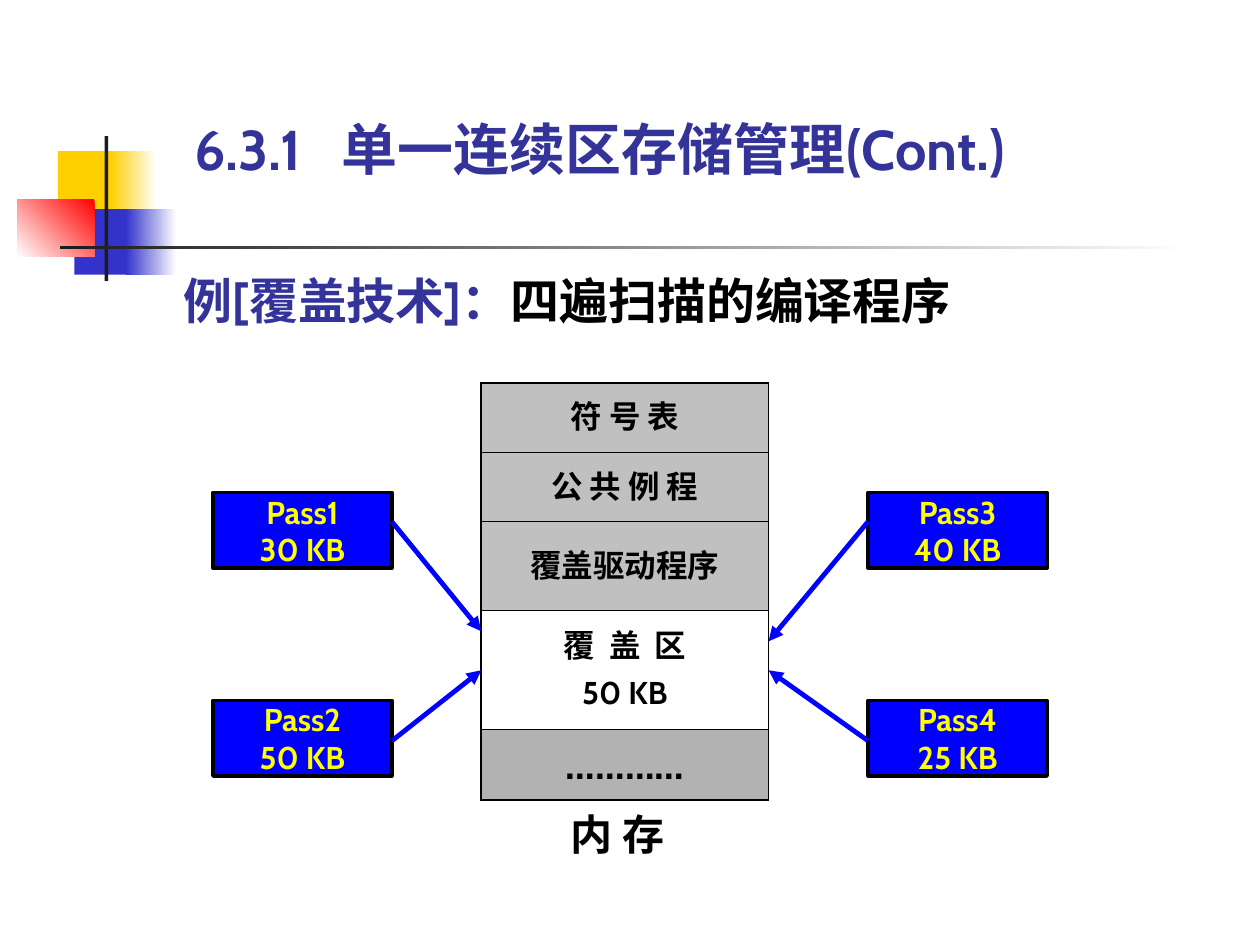
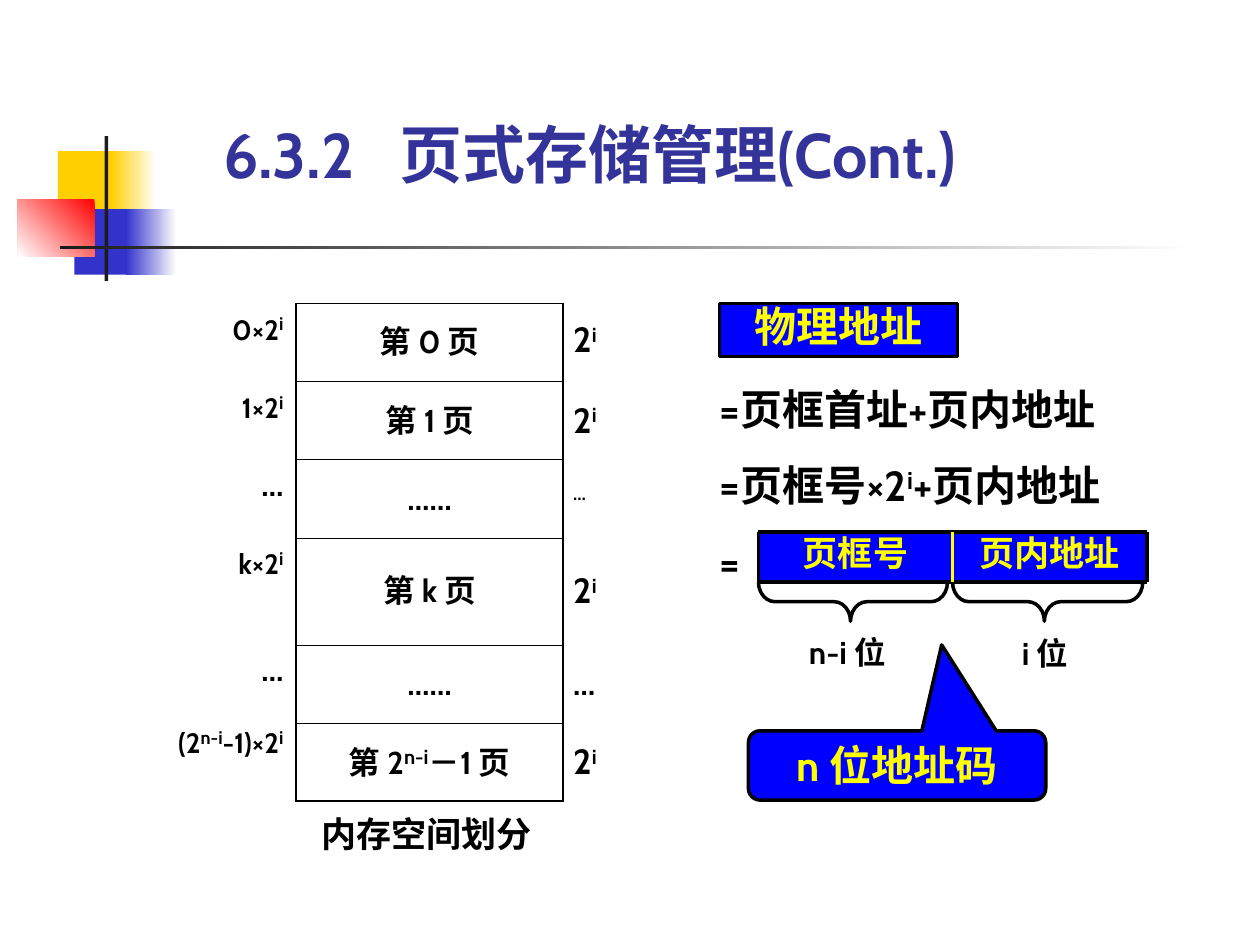
from lxml import etree
from pptx import Presentation, util as u
from pptx.dml.color import RGBColor
from pptx.enum import shapes as shape_enum, text as text_enum
from pptx.oxml import ns

FONT = "Cabin"
WHITE, BLACK, INK = "FFFFFF", "000000", "1C1C1C"
BLUE, YELLOW, NAVY = "0000FF", "FFFF00", "333399"
GRAY, DARK_GRAY = "C0C0C0", "B2B2B2"
THICK, THIN = 1.08, 0.45
LEFT, CENTER, RIGHT = (text_enum.PP_ALIGN.LEFT, text_enum.PP_ALIGN.CENTER,
                       text_enum.PP_ALIGN.RIGHT)
TOP, MIDDLE, BOTTOM = (text_enum.MSO_ANCHOR.TOP, text_enum.MSO_ANCHOR.MIDDLE,
                       text_enum.MSO_ANCHOR.BOTTOM)
KIND = shape_enum.MSO_SHAPE

# Left, top, width, height, then one colour or (from, to, angle)
DECORATION = [
    (0.46, 1.2, 0.48, 0.52, "FFCF01"),
    (0.88, 1.2, 0.36, 0.52, (WHITE, "FFCF01", 180)),
    (0.59, 1.66, 0.46, 0.52, "3333CC"),
    (1, 1.66, 0.4, 0.52, (WHITE, "3333CC", 180)),
    (0.14, 1.58, 0.61, 0.46, ("FF0000", WHITE, 225)),
    (0.83, 1.08, 0.03, 1.15, INK),
    (0.48, 1.95, 9, 0.03, (WHITE, INK, 180)),
]

# Slide 1: row height, lines, fill, font size, letter spacing
MEMORY_ROWS = [
    (0.55, ["符 号 表"], GRAY, 18, 0),
    (0.55, ["公 共 例 程"], GRAY, 18, 0),
    (0.7, ["覆盖驱动程序"], GRAY, 18, 0),
    (0.95, ["覆 盖 区", "50 KB"], None, 18, 2),
    (0.56, ["…………"], DARK_GRAY, 24, 0),
]
MEMORY_LEFT, MEMORY_TOP, MEMORY_WIDTH = 3.82, 3.04, 2.28
# Name, size, side, row, arrow start and end heights
PASSES = [
    ("Pass1", "30 KB", 0, 0, 4.14, 5.01),
    ("Pass2", "50 KB", 0, 1, 5.88, 5.32),
    ("Pass4", "25 KB", 1, 1, 5.88, 5.32),
    ("Pass3", "40 KB", 1, 0, 4.14, 5.09),
]
PASS_LEFTS, PASS_TOPS, PASS_SIZE = (1.69, 6.89), (3.91, 5.56), (1.42, 0.6)

# Slide 2: row height, first address, page, page size; ^ encloses a superscript
PAGE_ROWS = [
    (0.62, "0×2^i^", "第 0 页", "2^i^"),
    (0.62, "1×2^i^", "第 1 页", "2^i^"),
    (0.62, "…", "……", "^…^"),
    (0.85, "k×2^i^", "第 k 页", "2^i^"),
    (0.62, "…", "……", "…"),
    (0.62, "(2^n-i^-1)×2^i^", "第 2^n-i^－1 页", "2^i^"),
]
PAGE_COLUMNS = (1.52, 2.12, 0.49)
EQUATIONS = ["=页框首址+页内地址", "=页框号×2^i^+页内地址", "="]
# Name, left edge, right edge, bit count, bit label box, brace width and point
FIELDS = [
    ("页框号", 6.02, 7.56, "n-i 位", (6.42, 5.08, 0.79, 0.24), 1.5, 0.487),
    ("页内地址", 7.56, 9.1, "i 位", (8.11, 5.09, 0.47, 0.24), 1.51, 0.483),
]
FIELD_TOP, FIELD_BOTTOM, BRACE_DEPTH = 4.22, 4.62, 0.31


def rgb(color):
    return RGBColor.from_string(color)


def inches(*values):
    return [u.Inches(value) for value in values]


def set_all(target, values):
    for name, value in values.items():
        setattr(target, name, value)


def add_run(paragraph, words, size, color, raised=False, spacing=0):
    run = paragraph.add_run()
    run.text = words
    set_all(run.font, {"size": u.Pt(size), "bold": True, "name": FONT})
    run.font.color.rgb = rgb(color)
    properties = run.font._element
    etree.SubElement(properties, ns.qn("a:ea"), typeface=FONT)
    if raised:
        properties.set("baseline", "30000")
    if spacing:
        properties.set("spc", str(spacing * 100))


def write(frame, lines, size, color=BLACK, align=LEFT, anchor=TOP, margins=(0, 0, 0, 0),
          leading=None, gap=0, raised_size=None, spacing=0, tab=None):
    """Fill a frame or cell; a line is a marked string or a list of (words, color)."""
    names = ("margin_left", "margin_top", "margin_right", "margin_bottom")
    set_all(frame, dict(zip(names, inches(*margins))))
    set_all(frame, {"vertical_anchor": anchor, "word_wrap": True})
    text_frame = getattr(frame, "text_frame", frame)
    for index, line in enumerate(lines):
        paragraph = text_frame.add_paragraph() if index else text_frame.paragraphs[0]
        set_all(paragraph, {"alignment": align, "line_spacing": leading})
        if index and gap:
            paragraph.space_before = u.Pt(gap)
        if tab:
            stops = etree.SubElement(paragraph._p.get_or_add_pPr(), ns.qn("a:tabLst"))
            etree.SubElement(stops, ns.qn("a:tab"), pos=str(u.Inches(tab)), algn="l")
        for words, run_color in [(line, color)] if isinstance(line, str) else line:
            for part, piece in enumerate(words.split("^")):
                raised = part % 2 == 1
                if piece:
                    add_run(paragraph, piece, raised_size if raised and raised_size else size,
                            run_color, raised, 0 if index else spacing)


def add_text(slide, box, lines, size, **options):
    frame = slide.shapes.add_textbox(*inches(*box)).text_frame
    write(frame, lines, size, **options)
    frame.auto_size = text_enum.MSO_AUTO_SIZE.SHAPE_TO_FIT_TEXT


def add_shape(slide, box, fill=None, line=None, kind=KIND.RECTANGLE):
    shape = slide.shapes.add_shape(kind, *inches(*box))
    shape.shadow.inherit = False
    if fill is None:
        shape.fill.background()
    elif isinstance(fill, str):
        shape.fill.solid()
        shape.fill.fore_color.rgb = rgb(fill)
    else:
        *colors, angle = fill
        shape.fill.gradient()
        shape.fill.gradient_angle = angle
        for stop, color in zip(shape.fill.gradient_stops, colors):
            stop.color.rgb = rgb(color)
    if line:
        shape.line.color.rgb = rgb(line)
        shape.line.width = u.Pt(2)
    else:
        shape.line.fill.background()
    return shape


def add_label(slide, box, lines, size, line=BLACK, kind=KIND.RECTANGLE, grow=True, **options):
    """Blue shape with centred yellow text."""
    shape = add_shape(slide, box, BLUE, line, kind)
    write(shape.text_frame, lines, size, color=YELLOW, align=CENTER, **options)
    if grow:
        shape.text_frame.auto_size = text_enum.MSO_AUTO_SIZE.SHAPE_TO_FIT_TEXT
    return shape


def add_line(slide, start, end, color, width, arrow=False):
    line = slide.shapes.add_connector(shape_enum.MSO_CONNECTOR.STRAIGHT,
                                      *inches(*start, *end))
    line.line.color.rgb = rgb(color)
    line.line.width = u.Pt(width)
    if arrow:
        etree.SubElement(line.line._get_or_add_ln(), ns.qn("a:tailEnd"), type="triangle")
    etree.SubElement(line._element.spPr, ns.qn("a:effectLst"))


def finish_cell(cell, borders, fill=None):
    """Set left, right, top and bottom border widths (0 for none), then the fill."""
    properties = cell._tc.get_or_add_tcPr()
    for side, width in zip("LRTB", borders):
        border = etree.SubElement(properties, ns.qn(f"a:ln{side}"), w=str(u.Pt(width)))
        if width:
            solid = etree.SubElement(border, ns.qn("a:solidFill"))
            etree.SubElement(solid, ns.qn("a:srgbClr"), val=BLACK)
        else:
            etree.SubElement(border, ns.qn("a:noFill"))
    if fill:
        cell.fill.solid()
        cell.fill.fore_color.rgb = rgb(fill)
    else:
        cell.fill.background()


def box_borders(row, count):
    return (THICK, THICK, THIN if row else THICK, THIN if row < count - 1 else THICK)


def add_grid(slide, left, top, widths, heights):
    table = slide.shapes.add_table(len(heights), len(widths),
                                   *inches(left, top, sum(widths), sum(heights))).table
    set_all(table, {"first_row": False, "horz_banding": False})
    for column, width in zip(table.columns, widths):
        column.width = u.Inches(width)
    for row, height in zip(table.rows, heights):
        row.height = u.Inches(height)
    return table


def add_base(presentation):
    slide = presentation.slides.add_slide(presentation.slide_layouts[6])
    for *box, fill in DECORATION:
        add_shape(slide, box, fill)
    return slide


def add_title(slide, box, words, size, tab):
    add_text(slide, box, [words], size, color=NAVY, anchor=BOTTOM, tab=tab)


def build_overlay(presentation):
    slide = add_base(presentation)
    add_text(slide, (1.46, 2.1, 6.3, 1.03),
             [[("例[覆盖技术]：", NAVY), ("四遍扫描的编译程序", BLACK)]], 28, leading=1.1)
    table = add_grid(slide, MEMORY_LEFT, MEMORY_TOP, [MEMORY_WIDTH],
                     [row[0] for row in MEMORY_ROWS])
    for index, (_, lines, fill, size, spacing) in enumerate(MEMORY_ROWS):
        cell = table.cell(index, 0)
        write(cell, lines, size, align=CENTER, anchor=MIDDLE, gap=4.5, spacing=spacing,
              margins=(0.1, 0.05, 0.1, 0.05))
        finish_cell(cell, box_borders(index, len(MEMORY_ROWS)), fill)
    add_text(slide, (4.53, 6.42, 0.94, 0.4), ["内 存"], 24)
    for name, amount, side, row, _, _ in PASSES:
        add_label(slide, (PASS_LEFTS[side], PASS_TOPS[row], *PASS_SIZE), [name, amount], 18,
                  margins=(0.1, 0, 0.1, 0))
    for _, _, side, _, start, end in PASSES:
        pass_edge = PASS_LEFTS[1] if side else PASS_LEFTS[0] + PASS_SIZE[0]
        memory_edge = MEMORY_LEFT + MEMORY_WIDTH * side
        add_line(slide, (pass_edge, start), (memory_edge, end), BLUE, 2.75, arrow=True)
    add_title(slide, (1.54, 0.91, 7.01, 0.53), "6.3.1\t单一连续区存储管理(Cont.)", 32, 1.17)


def add_page_table(slide):
    table = add_grid(slide, 0.83, 2.41, PAGE_COLUMNS, [row[0] for row in PAGE_ROWS])
    last = len(PAGE_ROWS) - 1
    for index, (_, address, page, amount) in enumerate(PAGE_ROWS):
        dots = address == "…"
        cells = [
            (address, 18 if dots else 16, 18, RIGHT, TOP, 0.1,
             0.8 if index == last else None, (0, THICK, 0, 0)),
            (page, 18, 20, CENTER, MIDDLE, 0.1, None, box_borders(index, last + 1)),
            (amount, 18 if dots else 20, 18 if dots else 20, LEFT, MIDDLE, 0.08,
             None if index else 0.8, (THICK, 0, 0, 0)),
        ]
        for column, (words, size, raised, align, anchor, inset, leading, borders) \
                in enumerate(cells):
            cell = table.cell(index, column)
            write(cell, [words], size, align=align, anchor=anchor, leading=leading,
                  raised_size=raised, margins=(inset, 0.05, 0.1, 0.05))
            finish_cell(cell, borders)


def add_address_fields(slide):
    height = FIELD_BOTTOM - FIELD_TOP
    start, split, end = FIELDS[0][1], FIELDS[1][1], FIELDS[1][2]
    for name, left, right, *_ in FIELDS:
        add_label(slide, (left, FIELD_TOP, right - left, height), [name], 20, line=None,
                  grow=False, anchor=MIDDLE, leading=0.8)
    for y in (FIELD_TOP, FIELD_BOTTOM):
        add_line(slide, (start, y), (end, y), BLACK, 2.25)
    for x, color, width in ((start, BLACK, 2.25), (split, YELLOW, 2), (end, BLACK, 2.25)):
        add_line(slide, (x, FIELD_TOP), (x, FIELD_BOTTOM), color, width)
    for _, left, _, bits, label_box, span, point in FIELDS:
        # The brace stands upright around its centre before the turn
        brace = add_shape(slide, (left + (span - BRACE_DEPTH) / 2,
                                  FIELD_BOTTOM + (BRACE_DEPTH - span) / 2,
                                  BRACE_DEPTH, span), None, BLACK, KIND.LEFT_BRACE)
        brace.rotation = 270
        brace.adjustments[0], brace.adjustments[1] = 0.42, point
        add_text(slide, label_box, [bits], 18, leading=0.8)


def build_paging(presentation):
    slide = add_base(presentation)
    add_title(slide, (1.77, 0.92, 7.09, 0.6), "6.3.2\t页式存储管理(Cont.)", 36, 1.4)
    add_page_table(slide)
    add_text(slide, (2.48, 6.51, 1.81, 0.27), ["内存空间划分"], 20, align=CENTER, leading=0.8)
    callout = add_label(slide, (5.94, 5.8, 2.36, 0.55), ["n 位地址码"], 24, grow=False,
                        kind=KIND.ROUNDED_RECTANGULAR_CALLOUT, margins=(0, 0.12, 0, 0),
                        leading=0.8)
    for index, value in enumerate((0.15, -1.74, 0.17)):
        callout.adjustments[index] = value
    add_text(slide, (5.71, 3.04, 3.78, 1.62), EQUATIONS, 24, gap=15)
    add_address_fields(slide)
    add_label(slide, (5.71, 2.41, 1.89, 0.42), ["物理地址"], 24, leading=0.8,
              margins=(0.1, 0.05, 0.1, 0.05))


def main():
    presentation = Presentation()
    presentation.slide_width, presentation.slide_height = inches(10, 7.5)
    build_overlay(presentation)
    build_paging(presentation)
    presentation.save("out.pptx")


if __name__ == "__main__":
    main()
